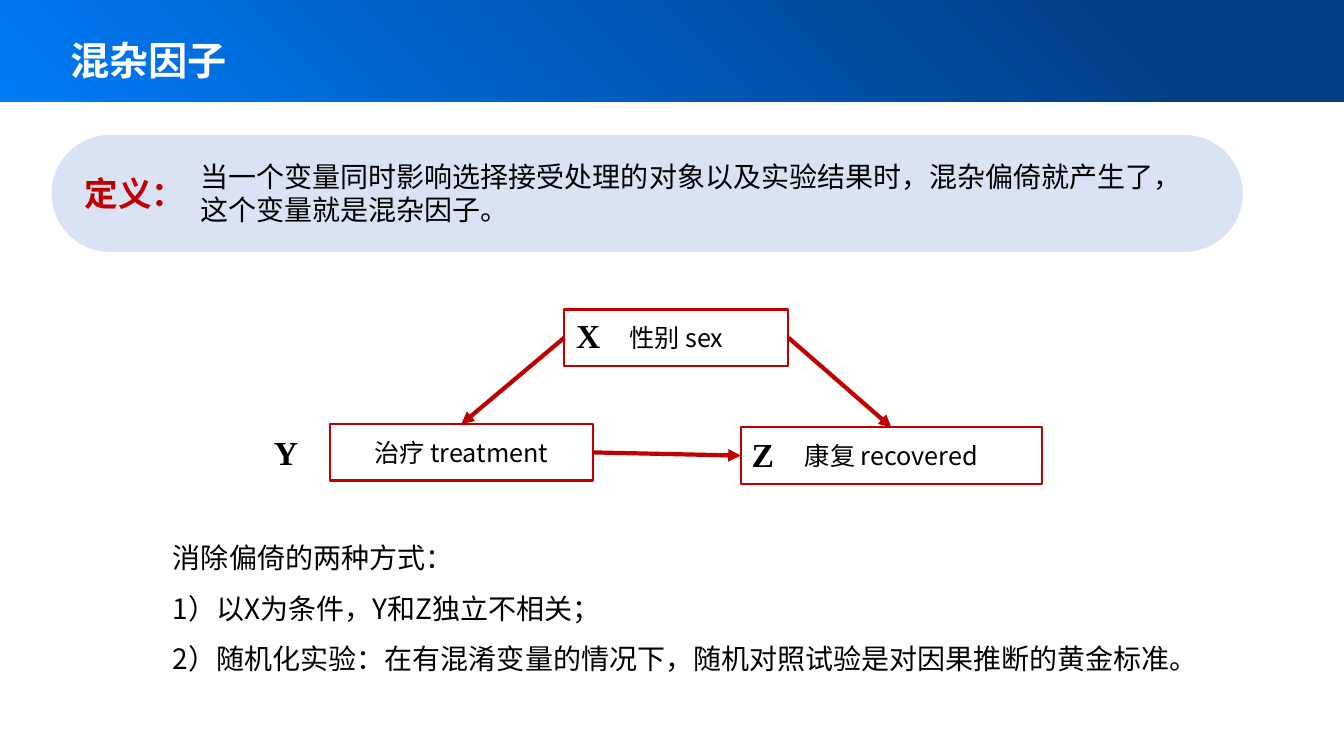
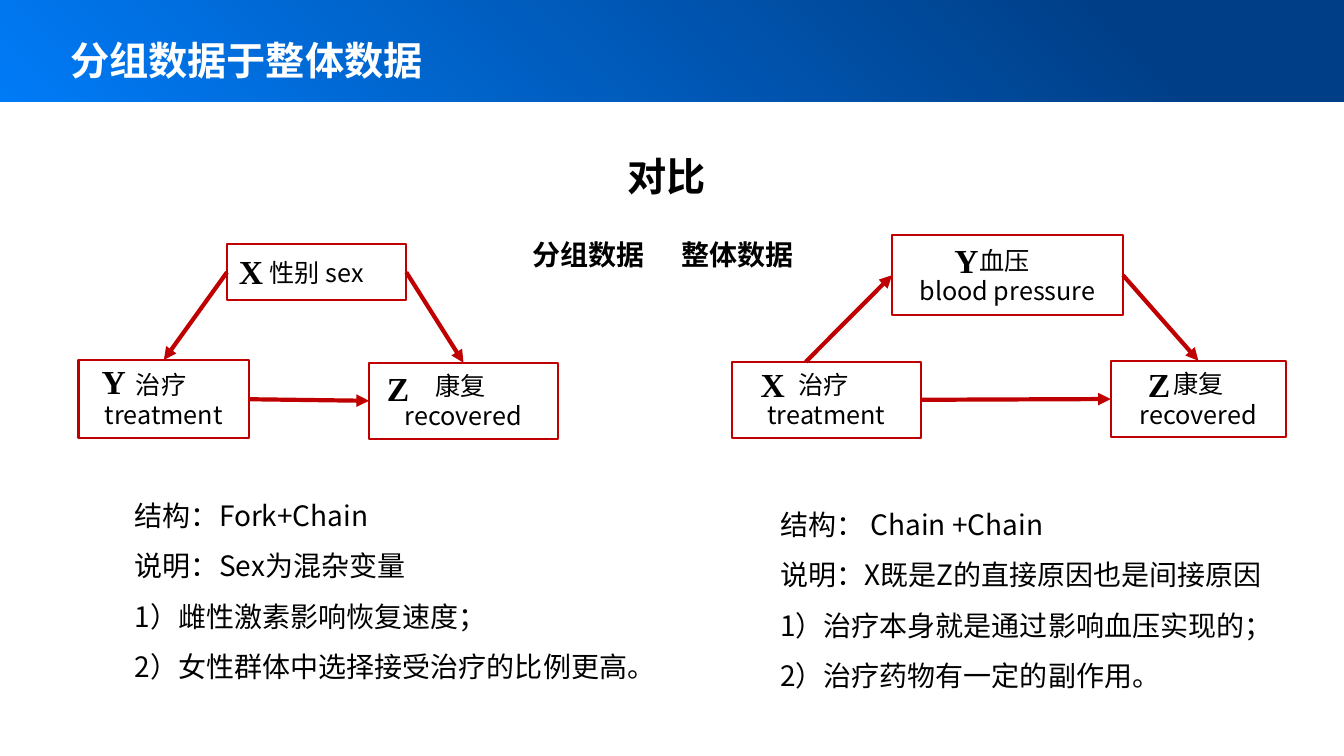
from pptx import Presentation
from pptx.dml.color import RGBColor
from pptx.enum.shapes import MSO_CONNECTOR, MSO_SHAPE
from pptx.enum.text import MSO_ANCHOR, MSO_AUTO_SIZE, PP_ALIGN
from pptx.oxml.ns import qn
from pptx.util import Cm, Pt
from lxml import etree

STRAIGHT = MSO_CONNECTOR.STRAIGHT
RECTANGLE, ROUNDED = MSO_SHAPE.RECTANGLE, MSO_SHAPE.ROUNDED_RECTANGLE
MIDDLE = MSO_ANCHOR.MIDDLE
GROW = MSO_AUTO_SIZE.SHAPE_TO_FIT_TEXT
CENTER, LEFT_ALIGN = PP_ALIGN.CENTER, PP_ALIGN.LEFT

BLACK = RGBColor(0x00, 0x00, 0x00)
WHITE = RGBColor(0xFF, 0xFF, 0xFF)
RED = RGBColor(0xC0, 0x00, 0x00)
PALE_BLUE = RGBColor(0xDA, 0xE3, 0xF3)
BAND_STOPS = [(0.17, RGBColor(0x00, 0x3F, 0x88)), (1.0, RGBColor(0x00, 0x7B, 0xF6))]

CJK = "Noto Sans CJK SC"
TITLE = {"name": "Arial", "size": Pt(28), "bold": True, "color": WHITE}
HEADING = {"name": CJK, "size": Pt(28), "bold": True, "color": BLACK}
LABEL = {"name": CJK, "size": Pt(24), "bold": True, "color": RED}
BODY = {"name": CJK, "size": Pt(20), "bold": False, "color": BLACK}
SUBHEAD = {**BODY, "bold": True}
NODE = {**BODY, "size": Pt(18)}
LETTER = {"name": "Times New Roman", "size": Pt(24), "bold": True, "color": BLACK}

SLIDE_WIDTH, SLIDE_HEIGHT = 33.87, 19.05
BAND = (0, 0, SLIDE_WIDTH, 2.57)
TITLE_BOX = (1.52, 0.79, 19.25, 1.45)
LETTER_SIZE = (1.14, 1.27)

TOP, LEFT, RIGHT = (0.5, 0), (0, 0.5), (1, 0.5)
SITES = {TOP: 0, LEFT: 1, RIGHT: 3}
FORK = [("X", LEFT, "Y", TOP), ("X", RIGHT, "Z", TOP), ("Y", RIGHT, "Z", LEFT)]
CHAIN = [("X", (0.39, 0), "Y", LEFT), ("Y", RIGHT, "Z", TOP), ("X", RIGHT, "Z", LEFT)]

SLIDES = [
    {
        "title": "混杂因子",
        "pill": (1.3, 3.4, 30.02, 2.95),
        "texts": [
            (["当一个变量同时影响选择接受处理的对象以及实验结果时，混杂偏倚就产生了，这个变量就是混杂因子。"],
             (4.8, 3.89, 25.68, 1.96), BODY, LEFT_ALIGN),
            (["定义："], (1.88, 4.22, 3, 1.27), LABEL, LEFT_ALIGN),
        ],
        "graphs": [
            {
                "nodes": {
                    "X": (["性别 sex"], (14.22, 7.8, 5.65, 1.42), (14.27, 7.82)),
                    "Y": (["治疗 treatment"], (8.31, 10.69, 6.63, 1.42), (6.65, 10.77)),
                    "Z": (["康复 recovered"], (18.67, 10.77, 7.59, 1.42), (18.69, 10.8)),
                },
                "arrows": FORK,
            },
        ],
        "notes": [
            (["消除偏倚的两种方式：",
              "1）以X为条件，Y和Z独立不相关；",
              "2）随机化实验：在有混淆变量的情况下，随机对照试验是对因果推断的黄金标准。"],
             (2.84, 13.08, 28.19, 3.96)),
        ],
    },
    {
        "title": "分组数据于整体数据",
        "texts": [
            (["对比"], (8.33, 3.71, 16.94, 1.45), HEADING, CENTER),
            (["分组数据"], (13.16, 5.87, 3.6, 1.12), SUBHEAD, LEFT_ALIGN),
            (["整体数据"], (16.93, 5.87, 3.6, 1.12), SUBHEAD, LEFT_ALIGN),
        ],
        "graphs": [
            {
                "nodes": {
                    "X": (["性别 sex"], (5.72, 6.15, 4.52, 1.42), (5.77, 6.2)),
                    "Y": (["治疗 ", "treatment"], (1.98, 9.07, 4.3, 1.98), (2.31, 8.97)),
                    "Z": (["康复 ", "recovered"], (9.3, 9.14, 4.76, 1.92), (9.5, 9.14)),
                },
                "arrows": FORK,
            },
            {
                "nodes": {
                    "X": (["治疗 ", "treatment"], (18.44, 9.12, 4.78, 1.91), (18.92, 9.04)),
                    "Y": (["血压 ", "blood pressure"], (22.48, 5.92, 5.82, 2.03), (23.8, 5.92)),
                    "Z": (["康复 recovered"], (27.99, 9.09, 4.42, 1.93), (28.68, 9.04)),
                },
                "arrows": CHAIN,
            },
        ],
        "notes": [
            (["结构：Fork+Chain",
              "说明：Sex为混杂变量",
              "1）雌性激素影响恢复速度；",
              "2）女性群体中选择接受治疗的比例更高。"],
             (1.88, 12.01, 15, 5.23)),
            (["结构： Chain +Chain",
              "说明：X既是Z的直接原因也是间接原因",
              "1）治疗本身就是通过影响血压实现的；",
              "2）治疗药物有一定的副作用。"],
             (18.14, 12.24, 15, 5.23)),
        ],
    },
]


def cm(values):
    return [Cm(value) for value in values]


def write(frame, lines, style, align=LEFT_ALIGN):
    for index, line in enumerate(lines):
        paragraph = frame.paragraphs[0] if index == 0 else frame.add_paragraph()
        paragraph.alignment = align
        run = paragraph.add_run()
        run.text = line
        for key, value in style.items():
            if key == "color":
                run.font.color.rgb = value
            else:
                setattr(run.font, key, value)
        east_asian = etree.Element(qn("a:ea"), typeface=CJK)
        run.font._element.find(qn("a:latin")).addnext(east_asian)


def add_text(shapes, lines, box, style, align=LEFT_ALIGN, wrap=True):
    frame = shapes.add_textbox(*cm(box)).text_frame
    frame.word_wrap = wrap
    frame.auto_size = GROW
    write(frame, lines, style, align)
    return frame


def add_block(shapes, preset, box):
    block = shapes.add_shape(preset, *cm(box))
    block.shadow.inherit = False
    block.line.fill.background()
    return block


def add_band(shapes, title):
    fill = add_block(shapes, RECTANGLE, BAND).fill
    fill.gradient()
    fill.gradient_angle = 225
    for stop, (position, color) in zip(fill.gradient_stops, BAND_STOPS):
        stop.position = position
        stop.color.rgb = color
    add_text(shapes, [title], TITLE_BOX, TITLE)


def add_pill(shapes, box):
    pill = add_block(shapes, ROUNDED, box)
    pill.adjustments[0] = 0.5
    pill.fill.solid()
    pill.fill.fore_color.rgb = PALE_BLUE


def add_node(shapes, lines, box):
    node = add_block(shapes, RECTANGLE, box)
    node.fill.background()
    node.line.color.rgb = RED
    node.line.width = Pt(1.5)
    node.text_frame.word_wrap = True
    node.text_frame.vertical_anchor = MIDDLE
    write(node.text_frame, lines, NODE, CENTER)
    return node


def point_on(node, side):
    return (int(node.left + node.width * side[0]), int(node.top + node.height * side[1]))


def add_arrow(shapes, source, source_side, target, target_side):
    arrow = shapes.add_connector(
        STRAIGHT, *point_on(source, source_side), *point_on(target, target_side))
    if source_side in SITES:
        arrow.begin_connect(source, SITES[source_side])
    arrow.end_connect(target, SITES[target_side])
    arrow.line.color.rgb = RED
    arrow.line.width = Pt(3)
    etree.SubElement(arrow.line._get_or_add_ln(), qn("a:tailEnd"), type="triangle")
    etree.SubElement(arrow._element.spPr, qn("a:effectLst"))


def add_graph(slide, graph):
    shapes = slide.shapes.add_group_shape().shapes
    nodes = {letter: add_node(shapes, lines, box)
             for letter, (lines, box, _) in graph["nodes"].items()}
    for source, source_side, target, target_side in graph["arrows"]:
        add_arrow(shapes, nodes[source], source_side, nodes[target], target_side)
    for letter, (_, _, corner) in graph["nodes"].items():
        add_text(shapes, [letter], corner + LETTER_SIZE, LETTER, wrap=False)


def add_notes(shapes, lines, box):
    for paragraph in add_text(shapes, lines, box, BODY).paragraphs:
        paragraph.line_spacing = 1.5
        paragraph._p.get_or_add_pPr().set("indent", str(Cm(1.27)))


def main():
    deck = Presentation()
    deck.slide_width, deck.slide_height = cm((SLIDE_WIDTH, SLIDE_HEIGHT))
    for content in SLIDES:
        slide = deck.slides.add_slide(deck.slide_layouts[6])
        add_band(slide.shapes, content["title"])
        if "pill" in content:
            add_pill(slide.shapes, content["pill"])
        for lines, box, style, align in content["texts"]:
            add_text(slide.shapes, lines, box, style, align)
        for graph in content["graphs"]:
            add_graph(slide, graph)
        for lines, box in content["notes"]:
            add_notes(slide.shapes, lines, box)
    deck.save("out.pptx")


if __name__ == "__main__":
    main()
